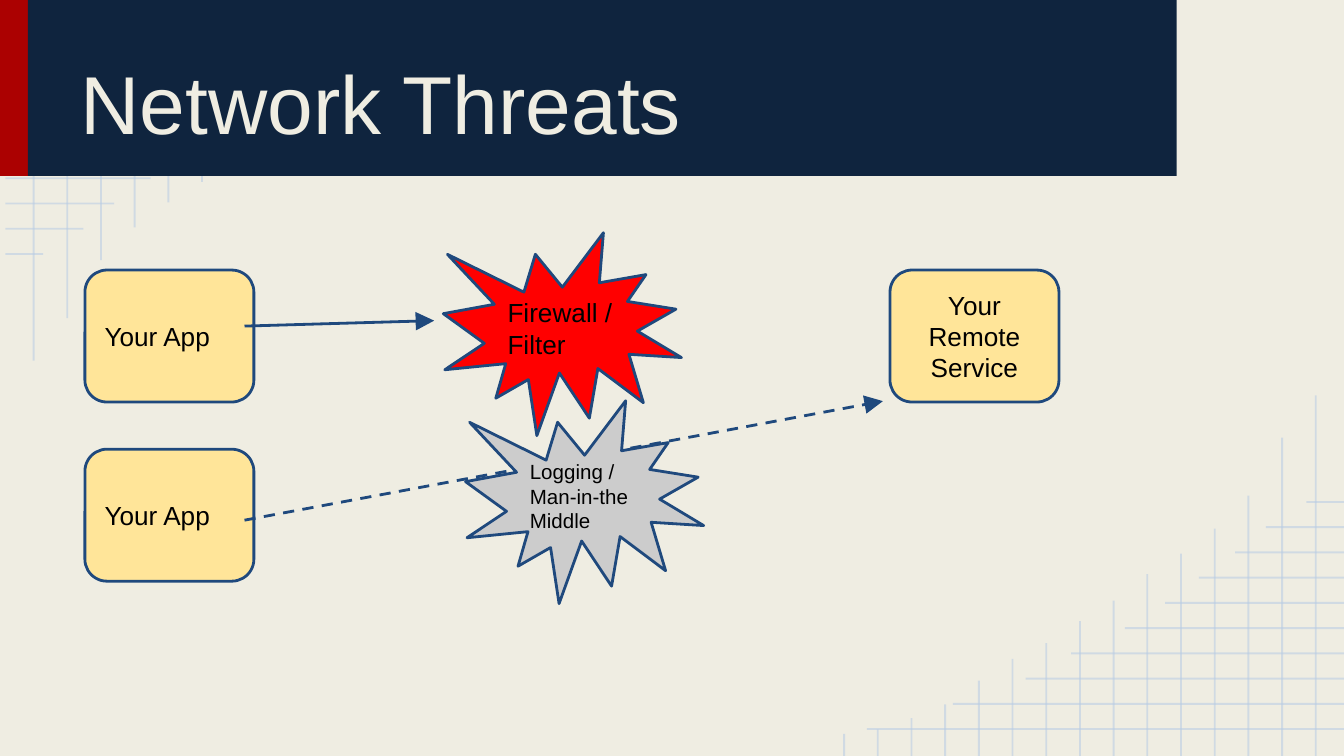
"""Build the Network Threats slide."""
from lxml import etree
from pptx import Presentation
from pptx import util as u
from pptx.dml.color import RGBColor
from pptx.enum import dml, shapes, text
from pptx.oxml.ns import qn

Pt = u.Pt
ROUNDED = shapes.MSO_SHAPE.ROUNDED_RECTANGLE
BURST = shapes.MSO_SHAPE.EXPLOSION1
LEFT, CENTER = text.PP_ALIGN.LEFT, text.PP_ALIGN.CENTER


def color(value):
    return RGBColor.from_string(value)


def add_line(start, end, stroke, width):
    line = page.shapes.add_connector(
        shapes.MSO_CONNECTOR.STRAIGHT, *[Pt(value) for value in (*start, *end)])
    line.line.color.rgb = color(stroke)
    line.line.width = Pt(width)
    etree.SubElement(line._element.spPr, qn("a:effectLst"))
    return line


deck = Presentation()
deck.slide_width, deck.slide_height = Pt(720), Pt(405)
page = deck.slides.add_slide(deck.slide_layouts[6])
page.background.fill.solid()
page.background.fill.fore_color.rgb = color("EFEDE2")

banner_height = 94.3
row_lengths = [255.6, 209.5, 170.6, 146.2, 117.4, 95.8, 77.8, 58.3, 41.8, 20.2]
column_lengths = [193.2, 170.5, 139.4, 121.8, 108.4, 97.4, 83.2, 72.2,
                  60.5, 52, 40.3, 27.7, 20.2, 14.3, 11.8]
grid = []
for index, length in enumerate(row_lengths):
    y = 14.4 + 13.52 * index
    grid.append(((2.9, y), (2.9 + length, y)))
for index, length in enumerate(column_lengths):
    x = 18 + 18.05 * index
    grid.append(((x, length), (x, 0)))

visible = [ends for ends in grid if ends[0][1] > banner_height]
mirrored = [[(722.9 - x, 405 - y) for x, y in ends] for ends in grid]
for start, end in visible + mirrored:
    grid_line = add_line(start, end, "B7CCE4", 1)
    shade = grid_line.line._ln.find(".//" + qn("a:srgbClr"))
    etree.SubElement(shade, qn("a:alpha"), val="54000")

for left, width, fill in [(0, 15, "AB0101"), (15, 615.4, "0F243E")]:
    band = page.shapes.add_shape(
        shapes.MSO_SHAPE.RECTANGLE, Pt(left), Pt(0), Pt(width), Pt(banner_height))
    band.shadow.inherit = False
    band.fill.solid()
    band.fill.fore_color.rgb = color(fill)
    band.line.fill.background()

title = page.shapes.add_textbox(Pt(36), Pt(7.9), Pt(576), Pt(79.9))
frame = title.text_frame
frame.word_wrap = True
frame.vertical_anchor = text.MSO_ANCHOR.BOTTOM
frame.margin_left = frame.margin_right = frame.margin_top = frame.margin_bottom = Pt(7.2)
frame.text = "Network Threats"
font = frame.paragraphs[0].runs[0].font
font.name, font.size = "Arial", Pt(44)
font.color.rgb = color("EFEDE2")

app_size, burst_size = (90.5, 70.7), (127.6, 108.7)
arrows = {
    "Firewall / Filter": ((131, 174.7), (232.6, 171.8), None),
    "Logging / Man-in-the\vMiddle": ((131, 278.7), (473, 214.9), dml.MSO_LINE.DASH),
}
nodes = [
    ("Your App", ROUNDED, (45.5, 144.7), app_size, "FFE599", 14, LEFT),
    ("Your Remote Service", ROUNDED, (476.8, 144.7), app_size, "FFE599", 14, CENTER),
    ("Firewall / Filter", BURST, (237.5, 124.7), burst_size, "FF0000", 14, LEFT),
    ("Your App", ROUNDED, (45.5, 240.7), app_size, "FFE599", 14, LEFT),
    ("Logging / Man-in-the\vMiddle", BURST, (249.4, 214.7), burst_size, "CCCCCC", 11, LEFT),
]
for label, kind, place, size, fill, font_size, align in nodes:
    if label in arrows:
        start, end, dash = arrows[label]
        arrow = add_line(start, end, "1F497D", 1.5)
        if dash:
            arrow.line.dash_style = dash
        etree.SubElement(arrow.line._ln, qn("a:tailEnd"), type="triangle", w="lg", len="lg")

    node = page.shapes.add_shape(kind, *[Pt(value) for value in place + size])
    node.shadow.inherit = False
    node.fill.solid()
    node.fill.fore_color.rgb = color(fill)
    node.line.color.rgb = color("1F497D")
    node.line.width = Pt(1.5)
    frame = node.text_frame
    frame.word_wrap = True
    frame.vertical_anchor = text.MSO_ANCHOR.MIDDLE
    frame.margin_left = frame.margin_right = frame.margin_top = frame.margin_bottom = Pt(7.2)
    frame.text = label
    para = frame.paragraphs[0]
    para.alignment = align
    for span in para.runs:
        span.font.name, span.font.size = "Arial", Pt(font_size)
        span.font.color.rgb = color("000000")

deck.save("out.pptx")
